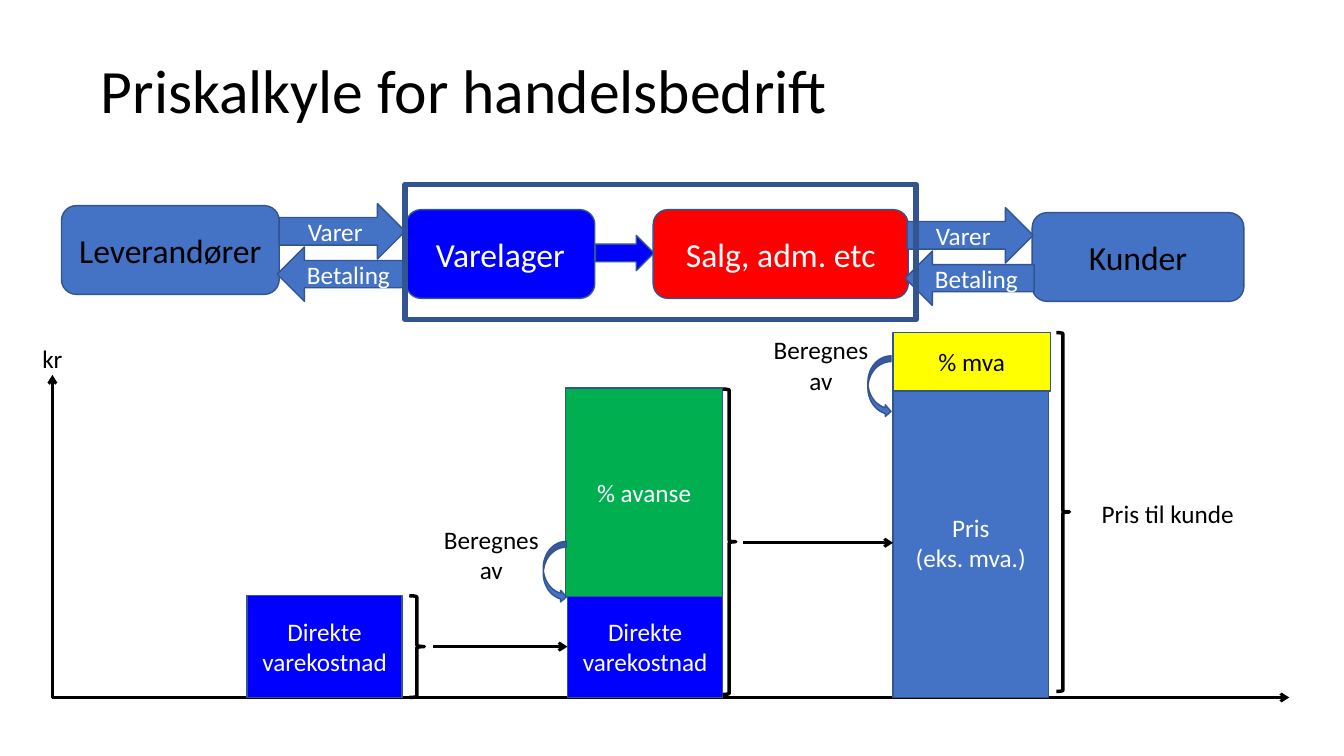
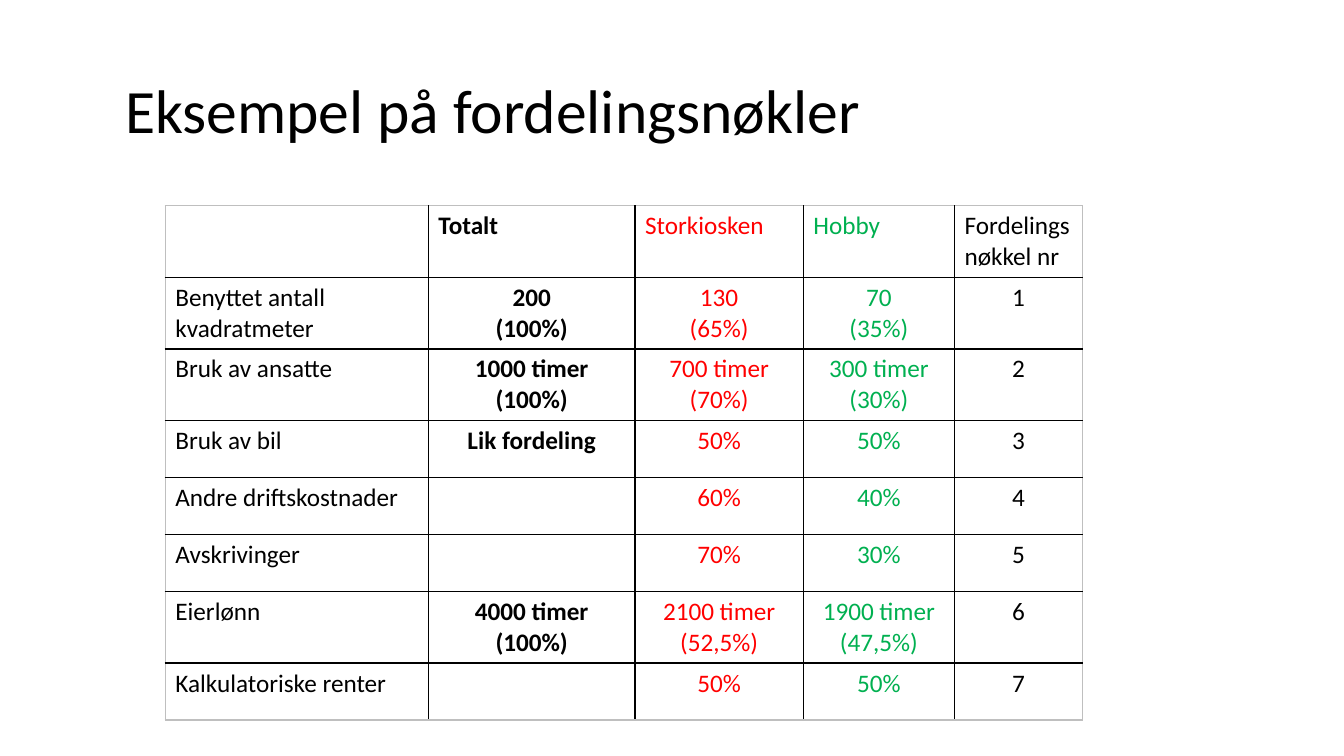
from lxml.etree import SubElement
from pptx import Presentation
from pptx.dml.color import RGBColor
from pptx.enum.shapes import MSO_CONNECTOR, MSO_SHAPE as Geo
from pptx.enum.text import MSO_ANCHOR, MSO_AUTO_SIZE, PP_ALIGN as Align
from pptx.oxml.ns import qn
from pptx.util import Inches, Pt

BLACK = RGBColor(0x00, 0x00, 0x00)
WHITE = RGBColor(0xFF, 0xFF, 0xFF)
STEEL = RGBColor(0x44, 0x72, 0xC4)
OUTLINE = RGBColor(0x32, 0x54, 0x91)
BLUE = RGBColor(0x00, 0x00, 0xFF)
RED = RGBColor(0xFF, 0x00, 0x00)
GREEN = RGBColor(0x00, 0xB0, 0x50)
YELLOW = RGBColor(0xFF, 0xFF, 0x00)
GREY = RGBColor(0xBF, 0xBF, 0xBF)
FONT = "Calibri"

deck = Presentation()
deck.slide_width, deck.slide_height = Inches(13.33), Inches(7.5)
COL, ROW = deck.slide_width / 40, deck.slide_height / 30


def write(frame, text, color=BLACK, size=18, align=Align.CENTER, bold=False):
    frame.text = text
    for paragraph in frame.paragraphs:
        paragraph.alignment = align
        paragraph.font.name = FONT
        paragraph.font.size = Pt(size)
        paragraph.font.bold = bold
        paragraph.font.color.rgb = color


def block(geometry, col, row, cols, rows, fill=None, text="", color=WHITE,
          size=18, line=OUTLINE, weight=1):
    shape = price_slide.shapes.add_shape(
        geometry, int(col * COL), int(row * ROW), int(cols * COL), int(rows * ROW))
    shape.shadow.inherit = False
    if fill is None:
        shape.fill.background()
    else:
        shape.fill.solid()
        shape.fill.fore_color.rgb = fill
    shape.line.color.rgb = line
    shape.line.width = Pt(weight)
    if text:
        write(shape.text_frame, text, color, size)
    return shape


slides = []
for heading, col, row in [
    ("Priskalkyle for handelsbedrift", 2.7, 0.8),
    ("Eksempel på fordelingsnøkler", 3.42, 1.6),
]:
    slide = deck.slides.add_slide(deck.slide_layouts[5])
    title = slide.shapes.title
    title.left, title.top = int(col * COL), int(row * ROW)
    title.width, title.height = int(35.63 * COL), int(5.8 * ROW)
    title.text_frame.auto_size = MSO_AUTO_SIZE.NONE
    title.text_frame.vertical_anchor = MSO_ANCHOR.MIDDLE
    write(title.text_frame, heading, size=44, align=Align.LEFT)
    title.text_frame.paragraphs[0].line_spacing = 0.9
    slides.append(slide)
price_slide, key_slide = slides

BASE = 27.68
bars = []
for axis_col, axis_row in [(1.56, 14.88), (38.37, BASE)]:
    bars.append((1.56, BASE, axis_col, axis_row, None))

direct_cost = "Direkte varekostnad"
block(Geo.RECTANGLE, 7.35, 23.64, 4.62, BASE - 23.64, BLUE, direct_cost)
cost_base = block(Geo.RECTANGLE, 16.89, 23.64, 4.62, BASE - 23.64, BLUE, direct_cost)
net_price = block(Geo.RECTANGLE, 26.58, 15.4, 4.62, BASE - 15.4, STEEL, "Pris\n(eks. mva.)")
block(Geo.RECTANGLE, 16.83, 15.4, 4.68, 8.28, GREEN, "% avanse")
block(Geo.RECTANGLE, 26.58, 13.2, 4.68, 2.32, YELLOW, "% mva", BLACK)

for start_col, target in [(12.9, cost_base), (22.11, net_price)]:
    middle = (target.top + target.height / 2) / ROW
    bars.append((start_col, middle, target.left / COL, middle, target))

for col, row, end_col, end_row, target in bars:
    arrow = price_slide.shapes.add_connector(
        MSO_CONNECTOR.STRAIGHT, int(col * COL), int(row * ROW),
        int(end_col * COL), int(end_row * ROW))
    if target is not None:
        arrow.end_connect(target, 1)
    else:
        tree = price_slide.shapes._spTree
        tree.remove(arrow._element)
        tree.insert(3, arrow._element)
    arrow.line.color.rgb = BLACK
    arrow.line.width = Pt(2)
    SubElement(arrow.line._get_or_add_ln(), qn("a:tailEnd"), type="arrow")
    SubElement(arrow._element.spPr, qn("a:effectLst"))

for col, row, cols, rows in [
    (12.18, 23.64, 0.45, 4.04),
    (21.51, 15.44, 0.39, 12.12),
    (31.44, 13.2, 0.39, 14.24),
]:
    block(Geo.RIGHT_BRACE, col, row, cols, rows, line=BLACK, weight=2.5)

for col, row in [(16.17, 21.48), (25.83, 14.12)]:
    block(Geo.CURVED_RIGHT_ARROW, col, row, 0.69, 2.44, STEEL)

for label, col, row, cols, rows in [
    ("kr", 0.96, 13.44, 1.2, 1.6),
    ("Beregnes\nav", 12.9, 20.6, 3.45, 2.84),
    ("Beregnes\nav", 22.71, 13.08, 3.45, 2.84),
    ("Pris til kunde", 32.46, 19.56, 4.59, 1.6),
]:
    caption = price_slide.shapes.add_textbox(
        int(col * COL), int(row * ROW), int(cols * COL), int(rows * ROW))
    caption.text_frame.word_wrap = False
    write(caption.text_frame, label)

for party, col, row, cols, fill, color in [
    ("Leverandører", 1.83, 8.16, 6.48, STEEL, BLACK),
    ("Kunder", 30.72, 8.44, 6.3, STEEL, BLACK),
    ("Varelager", 12.09, 8.32, 5.61, BLUE, WHITE),
    ("Salg, adm. etc", 19.44, 8.32, 7.59, RED, WHITE),
]:
    block(Geo.ROUNDED_RECTANGLE, col, row, cols, 3.52, fill, party, color, 24)

block(Geo.RIGHT_ARROW, 17.72, 9.34, 1.74, 1.4, BLUE)
for col, row in [(8.31, 8.08), (27, 8.24)]:
    block(Geo.RIGHT_ARROW, col, row, 3.75, 2.2, STEEL, "Varer")
    block(Geo.LEFT_ARROW, col - 0.06, row + 1.72, 3.84, 2.16, STEEL, "Betaling")
block(Geo.RECTANGLE, 12.06, 7.32, 15.21, 5.36, weight=4)

KEYS = [
    ("", "Totalt", "Storkiosken", "Hobby", "Fordelings nøkkel nr"),
    ("Benyttet antall kvadratmeter", "200\n(100%)", "130\n(65%)", "70\n(35%)", "1"),
    ("Bruk av ansatte", "1000 timer\n(100%)", "700 timer\n(70%)", "300 timer\n(30%)", "2"),
    ("Bruk av bil", "Lik fordeling", "50%", "50%", "3"),
    ("Andre driftskostnader", "", "60%", "40%", "4"),
    ("Avskrivinger", "", "70%", "30%", "5"),
    ("Eierlønn", "4000 timer\n(100%)", "2100 timer\n(52,5%)", "1900 timer\n(47,5%)", "6"),
    ("Kalkulatoriske renter", "", "50%", "50%", "7"),
]
KEY_COLS = [7.83, 6.15, 5.01, 4.5, 3.81]
KEY_COLORS = [BLACK, BLACK, RED, GREEN, BLACK]
KEY_ROW = 2.26
last_row, last_col = len(KEYS) - 1, len(KEY_COLS) - 1

keys = key_slide.shapes.add_table(
    len(KEYS), len(KEY_COLS), int(4.92 * COL), int(8.16 * ROW),
    int(sum(KEY_COLS) * COL), int(len(KEYS) * KEY_ROW * ROW)).table
keys.first_row = keys.horz_banding = False
for column, cols in zip(keys.columns, KEY_COLS):
    column.width = int(cols * COL)
for r, entries in enumerate(KEYS):
    keys.rows[r].height = int(KEY_ROW * ROW)
    for c, entry in enumerate(entries):
        cell = keys.cell(r, c)
        write(cell.text_frame, entry, KEY_COLORS[c], bold=c == 1,
              align=Align.CENTER if r and c else Align.LEFT)
        properties = cell._tc.get_or_add_tcPr()
        for side, outer in [("L", c == 0), ("R", c == last_col),
                            ("T", r == 0), ("B", r == last_row)]:
            border = SubElement(properties, qn("a:ln" + side), w=str(Pt(1)))
            ink = SubElement(border, qn("a:solidFill"))
            SubElement(ink, qn("a:srgbClr"), val=str(GREY if outer else BLACK))
        cell.fill.background()

deck.save("out.pptx")
